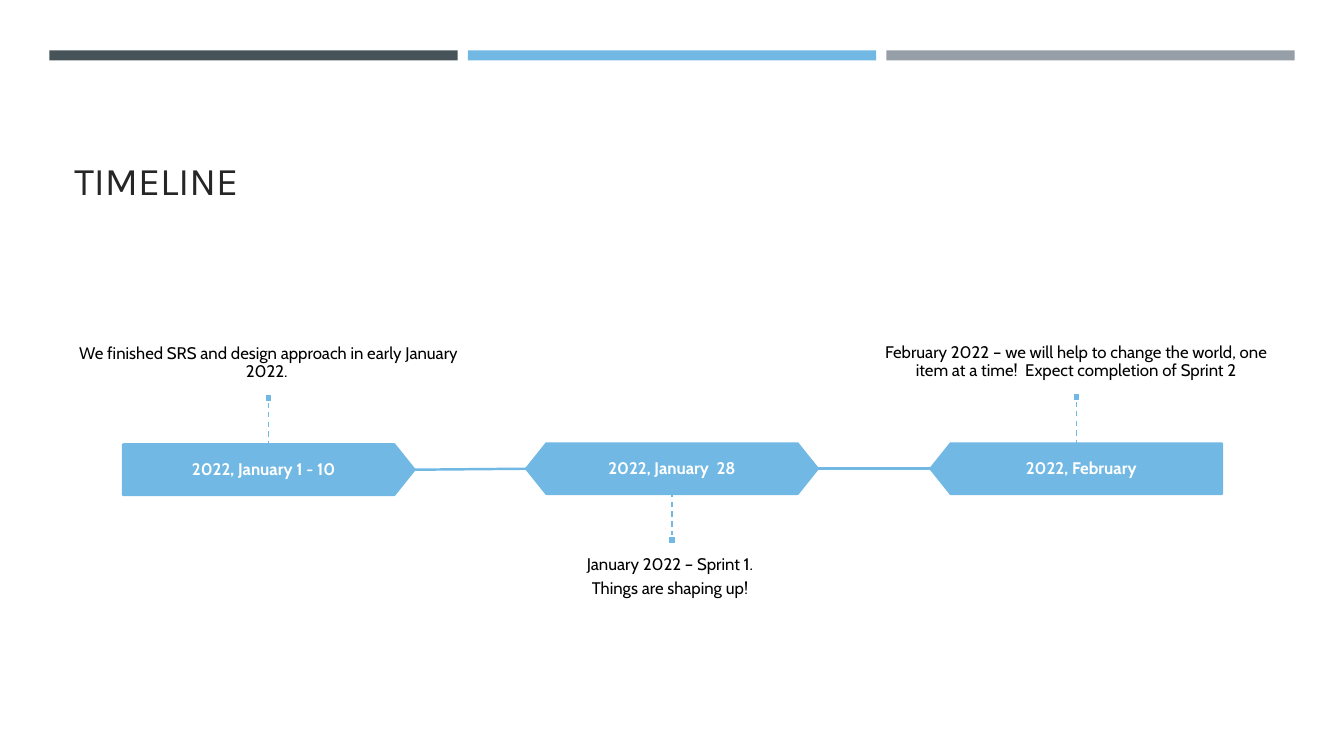
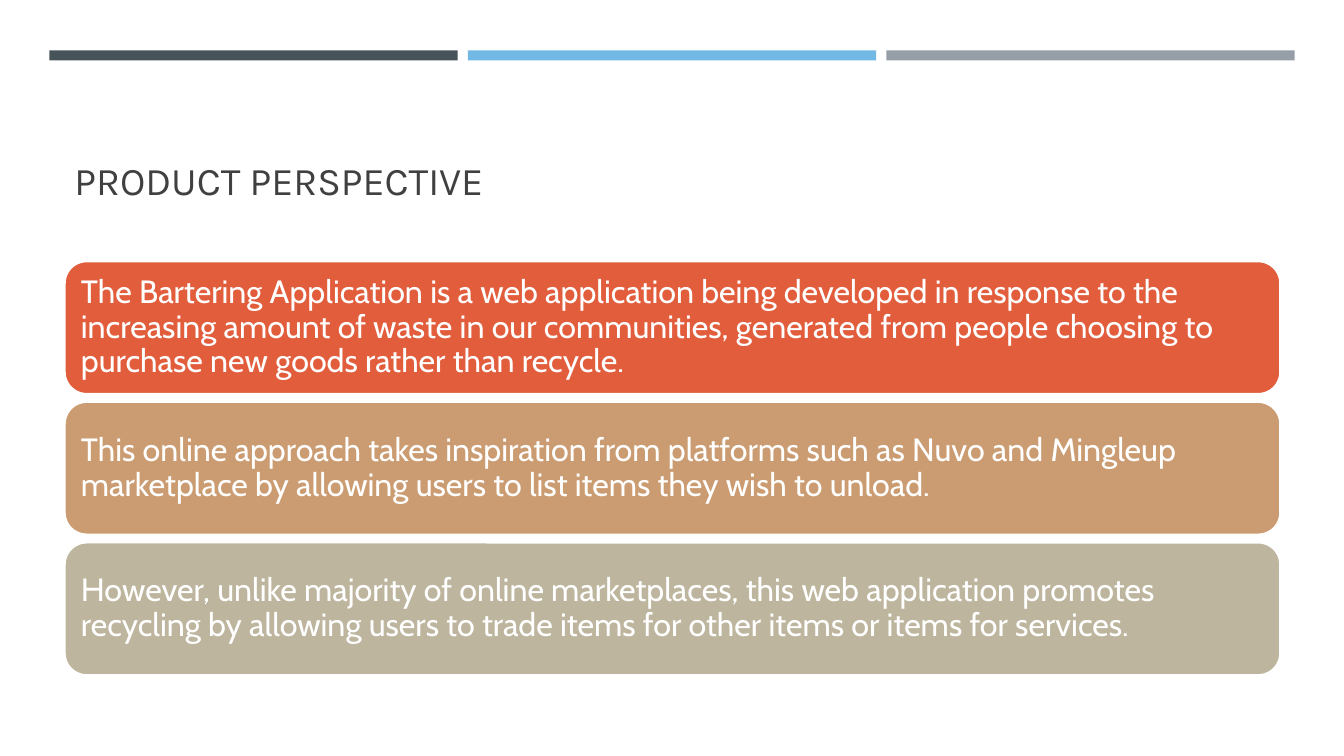
from lxml.etree import SubElement
from pptx import Presentation
from pptx.dml.color import RGBColor
from pptx.enum.dml import MSO_LINE
from pptx.enum.shapes import MSO_CONNECTOR, MSO_SHAPE
from pptx.enum.text import MSO_ANCHOR, PP_ALIGN
from pptx.oxml.ns import qn
from pptx.util import Inches, Pt

# Colours
SLATE = RGBColor(0x46, 0x53, 0x59)
BLUE = RGBColor(0x71, 0xB9, 0xE4)
GREY = RGBColor(0x96, 0x9F, 0xA7)
RED = RGBColor(0xE2, 0x5D, 0x3C)
TAN = RGBColor(0xCB, 0x9C, 0x71)
SAND = RGBColor(0xBD, 0xB5, 0x9D)
INK = RGBColor(0x26, 0x26, 0x26)
DARK = RGBColor(0x40, 0x40, 0x40)
BLACK = RGBColor(0, 0, 0)
WHITE = RGBColor(255, 255, 255)

# Fonts
HEAD = "Karla"
BODY = "Cabin"

# Timeline sizes
TAG_W, TAG_H = 2.89, 0.5
PIN = 0.08
STEM = 0.42
NOTE_W, NOTE_H = 4.01, 1.33


def add_box(slide, kind, left, top, width, height, fill, line=None):
    box = slide.shapes.add_shape(
        kind, Inches(left), Inches(top), Inches(width), Inches(height))
    box.shadow.inherit = False
    box.fill.solid()
    box.fill.fore_color.rgb = fill
    if line is None:
        box.line.fill.background()
    else:
        box.line.color.rgb = line
        box.line.width = Pt(1.75)
    return box


def add_line(slide, start, end, width, dash=None):
    ends = [Inches(n) for n in (*start, *end)]
    line = slide.shapes.add_connector(MSO_CONNECTOR.STRAIGHT, *ends)
    line.line.color.rgb = BLUE
    line.line.width = Pt(width)
    if dash:
        line.line.dash_style = dash
    SubElement(line._element.spPr, qn("a:effectLst"))


def set_frame(frame, anchor, side, edge):
    frame.word_wrap = True
    frame.vertical_anchor = anchor
    frame.margin_left = frame.margin_right = Inches(side)
    frame.margin_top = frame.margin_bottom = Inches(edge)


def add_run(para, text, font, size, color, bold=False):
    run = para.add_run()
    run.text = text
    run.font.name = font
    run.font.size = Pt(size)
    run.font.bold = bold
    run.font.color.rgb = color


def write(frame, lines, size, color, align, bold=False):
    for i, text in enumerate(lines):
        para = frame.add_paragraph() if i else frame.paragraphs[0]
        para.alignment = align
        para.line_spacing = 0.9
        para.space_after = Pt(0.35 * size)
        add_run(para, text, BODY, size, color, bold)


def add_text(slide, left, top, width, height):
    box = slide.shapes.add_textbox(
        Inches(left), Inches(top), Inches(width), Inches(height))
    return box.text_frame


# Bands and title that every slide shares
def new_slide(deck, title, color):
    slide = deck.slides.add_slide(deck.slide_layouts[6])
    for i, fill in enumerate((SLATE, BLUE, GREY)):
        add_box(slide, MSO_SHAPE.RECTANGLE, 0.49 + 4.15 * i, 0.5, 4.05, 0.1, fill)
    frame = add_text(slide, 0.64, 0.77, 12.06, 1.3)
    set_frame(frame, MSO_ANCHOR.BOTTOM, 0.1, 0.05)
    add_run(frame.paragraphs[0], title, HEAD, 28, color)
    return slide


# Arrow-shaped date tag
def add_tag(slide, kind, left, top, date, flip):
    tag = add_box(slide, kind, left, top, TAG_W, TAG_H, BLUE, BLUE)
    tag.adjustments[0] = 0.4
    if flip:
        tag._element.spPr.find(qn("a:xfrm")).set("flipH", "1")
    set_frame(tag.text_frame, MSO_ANCHOR.MIDDLE, 0.1, 0.1)
    write(tag.text_frame, [date], 12, WHITE, PP_ALIGN.CENTER, True)


# Dashed stem, square pin and note, above or below a tag
def add_note(slide, left, top, lines, above):
    mid = left + TAG_W / 2
    if above:
        root, tip = top, top - STEM
        pin, note, anchor = tip - PIN, top - 1.84, MSO_ANCHOR.BOTTOM
    else:
        root, tip = top + TAG_H, top + TAG_H + STEM
        pin, note, anchor = tip, top + 1, MSO_ANCHOR.TOP
    add_line(slide, (mid, tip), (mid, root), 1, MSO_LINE.DASH)
    add_box(slide, MSO_SHAPE.RECTANGLE, mid - PIN / 2, pin, PIN, PIN, BLUE, WHITE)
    frame = add_text(slide, mid - NOTE_W / 2, note, NOTE_W, NOTE_H)
    set_frame(frame, anchor, 0, 0.12)
    write(frame, lines, 12, BLACK, PP_ALIGN.CENTER)


def add_panel(slide, top, text, fill):
    panel = add_box(slide, MSO_SHAPE.ROUNDED_RECTANGLE,
                    0.64, top, 12.06, 1.32, fill, WHITE)
    set_frame(panel.text_frame, MSO_ANCHOR.MIDDLE, 0.1, 0.1)
    write(panel.text_frame, [text], 23, WHITE, PP_ALIGN.LEFT)


def draw_time(deck):
    slide = new_slide(deck, "TIMELINE", INK)
    steps = [
        (MSO_SHAPE.PENTAGON, 1.22, 4.41, "2022, January 1 - 10",
         ["We finished SRS and design approach in early January 2022. "]),
        (MSO_SHAPE.HEXAGON, 5.22, 4.4, "2022, January  28",
         ["January 2022 – Sprint 1. ", "Things are shaping up! "]),
        (MSO_SHAPE.PENTAGON, 9.23, 4.4, "2022, February",
         ["February 2022 – we will help to change the world, one item "
          "at a time!  Expect completion of Sprint 2"]),
    ]
    for i, (kind, left, top, date, lines) in enumerate(steps):
        add_tag(slide, kind, left, top, date, flip=i == 2)
        add_note(slide, left, top, lines, above=i != 1)
    # Links between neighbouring tags
    for here, after in zip(steps, steps[1:]):
        add_line(slide, (here[1] + TAG_W, here[2] + TAG_H / 2),
                 (after[1], after[2] + TAG_H / 2), 1.75)


def draw_view(deck):
    slide = new_slide(deck, "PRODUCT PERSPECTIVE", DARK)
    panels = [
        (RED, "The Bartering Application is a web application being developed "
              "in response to the increasing amount of waste in our "
              "communities, generated from people choosing to purchase new "
              "goods rather than recycle."),
        (TAN, "This online approach takes inspiration from platforms such as "
              "Nuvo and Mingleup marketplace by allowing users to list items "
              "they wish to unload."),
        (SAND, "However, unlike majority of online marketplaces, this web "
               "application promotes recycling by allowing users to trade "
               "items for other items or items for services."),
    ]
    for i, (fill, text) in enumerate(panels):
        add_panel(slide, 2.59 + 1.395 * i, text, fill)


def main():
    deck = Presentation()
    deck.slide_width, deck.slide_height = Inches(13.33), Inches(7.5)
    draw_time(deck)
    draw_view(deck)
    deck.save("out.pptx")


if __name__ == "__main__":
    main()
